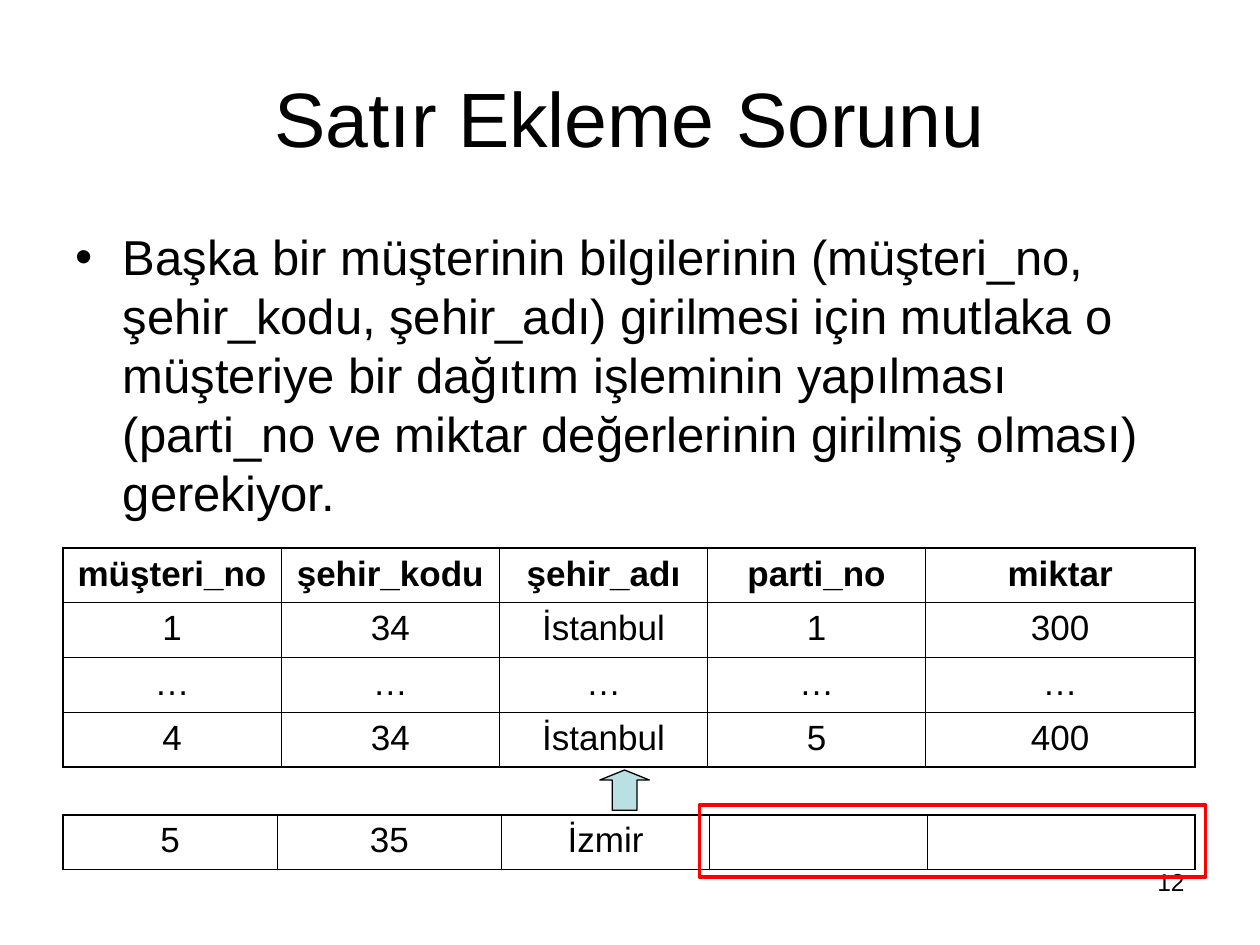
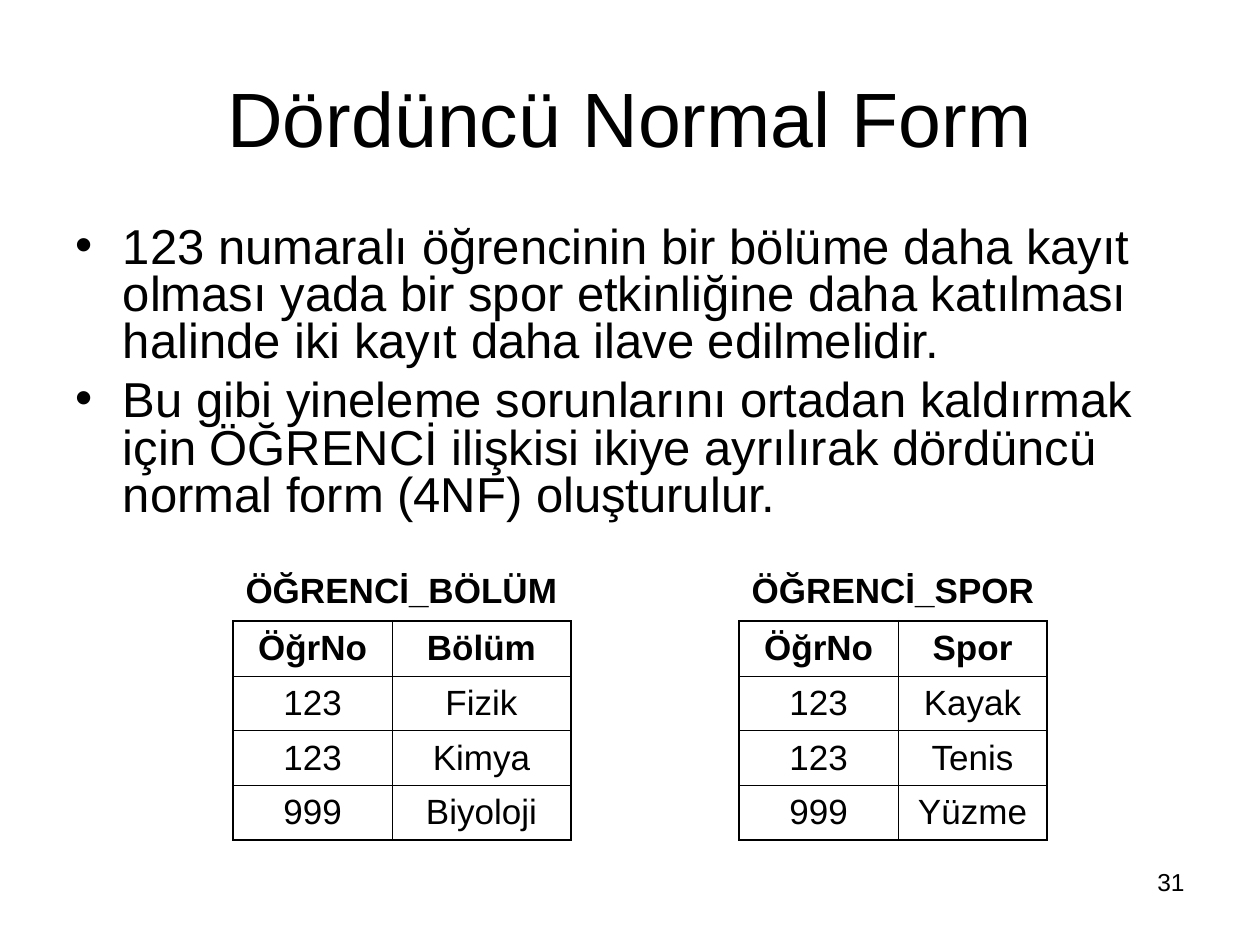
import pptx
import pptx.util
import pptx.dml.color
import pptx.enum.shapes
import pptx.enum.text
import pptx.oxml
import pptx.oxml.ns

Pt = pptx.util.Pt
PP_ALIGN = pptx.enum.text.PP_ALIGN
MSO_ANCHOR = pptx.enum.text.MSO_ANCHOR
MSO_SHAPE = pptx.enum.shapes.MSO_SHAPE
BLACK = pptx.dml.color.RGBColor(0x00, 0x00, 0x00)
RED = pptx.dml.color.RGBColor(0xFF, 0x00, 0x00)
PALE_TEAL = pptx.dml.color.RGBColor(0xBB, 0xE0, 0xE3)
FONT = "Arial"
ROW_HEIGHT = 31.1
OUTER_LINE, INNER_LINE = 1.08, 0.45


def format_text(text_frame, size, bold=False, alignment=PP_ALIGN.LEFT):
    text_frame.word_wrap = True
    for paragraph in text_frame.paragraphs:
        paragraph.alignment = alignment
        for run in paragraph.runs:
            run.font.name = FONT
            run.font.size = Pt(size)
            run.font.bold = bold
            run.font.color.rgb = BLACK


def add_grid(slide, left, top, widths, rows, header=True, anchor=MSO_ANCHOR.TOP):
    table = slide.shapes.add_table(
        len(rows), len(widths), Pt(left), Pt(top), Pt(sum(widths)), Pt(ROW_HEIGHT * len(rows))
    ).table
    table.first_row = False
    table.horz_banding = False
    for column, width in zip(table.columns, widths):
        column.width = Pt(width)
    for row_index, values in enumerate(rows):
        table.rows[row_index].height = Pt(ROW_HEIGHT)
        for column_index, value in enumerate(values):
            cell = table.cell(row_index, column_index)
            cell.text_frame.text = value
            cell.vertical_anchor = anchor
            format_text(cell.text_frame, 20, header and row_index == 0, PP_ALIGN.CENTER)
            outer_sides = {
                "L": column_index == 0,
                "R": column_index == len(widths) - 1,
                "T": row_index == 0,
                "B": row_index == len(rows) - 1,
            }
            properties = cell._tc.get_or_add_tcPr()
            for side, is_outer in outer_sides.items():
                line_width = Pt(OUTER_LINE if is_outer else INNER_LINE)
                properties.append(pptx.oxml.parse_xml(
                    f'<a:ln{side} {pptx.oxml.ns.nsdecls("a")} w="{line_width}"><a:solidFill>'
                    f'<a:srgbClr val="{BLACK}"/></a:solidFill></a:ln{side}>'
                ))
            cell.fill.background()


presentation = pptx.Presentation()
presentation.slide_width = Pt(720)
presentation.slide_height = Pt(540)

slide_texts = [
    ("Satır Ekleme Sorunu", "12", 1.0, [
        "Başka bir müşterinin bilgilerinin (müşteri_no, şehir_kodu, şehir_adı) girilmesi için "
        "mutlaka o müşteriye bir dağıtım işleminin yapılması (parti_no ve miktar değerlerinin "
        "girilmiş olması) gerekiyor.",
    ]),
    ("Dördüncü Normal Form", "31", 0.8, [
        "123 numaralı öğrencinin bir bölüme daha kayıt olması yada bir spor etkinliğine daha "
        "katılması halinde iki kayıt daha ilave edilmelidir.",
        "Bu gibi yineleme sorunlarını ortadan kaldırmak için ÖĞRENCİ ilişkisi ikiye ayrılırak "
        "dördüncü normal form (4NF) oluşturulur.",
    ]),
]

for title_text, number, line_spacing, bullets in slide_texts:
    slide = presentation.slides.add_slide(presentation.slide_layouts[1])
    title = slide.shapes.title
    title.left, title.top, title.width, title.height = Pt(36), Pt(21.6), Pt(648), Pt(90)
    title.text_frame.text = title_text
    title.text_frame.auto_size = pptx.enum.text.MSO_AUTO_SIZE.NONE
    title.text_frame.vertical_anchor = MSO_ANCHOR.MIDDLE
    format_text(title.text_frame, 44, alignment=PP_ALIGN.CENTER)

    body = slide.placeholders[1]
    body.left, body.top, body.width, body.height = Pt(36), Pt(126), Pt(648), Pt(183.6)
    body.text_frame.text = "\n".join(bullets)
    body.text_frame.auto_size = pptx.enum.text.MSO_AUTO_SIZE.NONE
    format_text(body.text_frame, 28)
    for index, paragraph in enumerate(body.text_frame.paragraphs):
        paragraph.line_spacing = line_spacing
        paragraph.space_before = Pt(7 if index else 0)

    number_box = slide.shapes.add_textbox(Pt(516), Pt(491.8), Pt(168), Pt(37.4))
    number_box.text_frame.text = number
    format_text(number_box.text_frame, 14, alignment=PP_ALIGN.RIGHT)

insertion_slide, normal_form_slide = presentation.slides

add_grid(insertion_slide, 36, 313.2, [124.7, 124.7, 119, 124.5, 153.9], [
    ["müşteri_no", "şehir_kodu", "şehir_adı", "parti_no", "miktar"],
    ["1", "34", "İstanbul", "1", "300"],
    ["…"] * 5,
    ["4", "34", "İstanbul", "5", "400"],
])
add_grid(insertion_slide, 36, 465.7, [122.4, 128.2, 118.9, 124.6, 152.7],
         [["5", "35", "İzmir", "", ""]], header=False)

insert_arrow = insertion_slide.shapes.add_shape(
    MSO_SHAPE.UP_ARROW, Pt(342.8), Pt(440), Pt(28.3), Pt(23))
insert_arrow.adjustments[0] = 0.5
insert_arrow.adjustments[1] = 0.25
insert_arrow.shadow.inherit = False
insert_arrow.fill.solid()
insert_arrow.fill.fore_color.rgb = PALE_TEAL
insert_arrow.line.color.rgb = BLACK
insert_arrow.line.width = Pt(0.75)

missing_values_frame = insertion_slide.shapes.add_shape(
    MSO_SHAPE.RECTANGLE, Pt(399.6), Pt(460.1), Pt(289.4), Pt(41))
missing_values_frame.shadow.inherit = False
missing_values_frame.fill.background()
missing_values_frame.line.color.rgb = RED
missing_values_frame.line.width = Pt(2)

relations = [
    ("ÖĞRENCİ_BÖLÜM", 133.2, [90.9, 102.1], PP_ALIGN.LEFT, "Bölüm", ["Fizik", "Kimya", "Biyoloji"]),
    ("ÖĞRENCİ_SPOR", 422.4, [90.9, 84.9], PP_ALIGN.CENTER, "Spor", ["Kayak", "Tenis", "Yüzme"]),
]
for name, left, widths, alignment, attribute, values in relations:
    caption = normal_form_slide.shapes.add_textbox(Pt(left), Pt(321.1), Pt(sum(widths)), Pt(31.7))
    caption.text_frame.text = name
    format_text(caption.text_frame, 20, True, alignment)
    rows = [["ÖğrNo", attribute], *zip(["123", "123", "999"], values)]
    add_grid(normal_form_slide, left, 355, widths, rows, anchor=MSO_ANCHOR.MIDDLE)

presentation.save("out.pptx")
